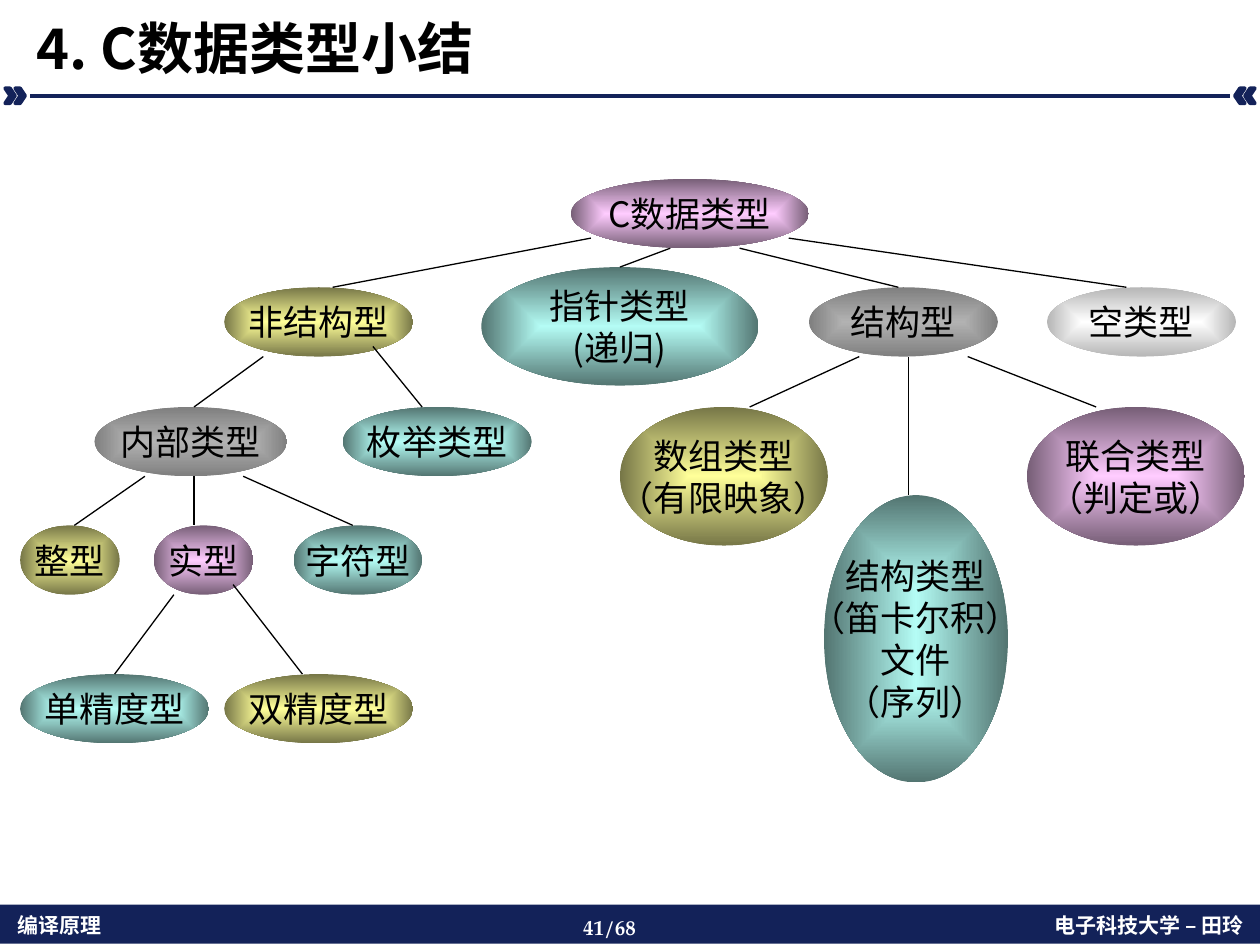
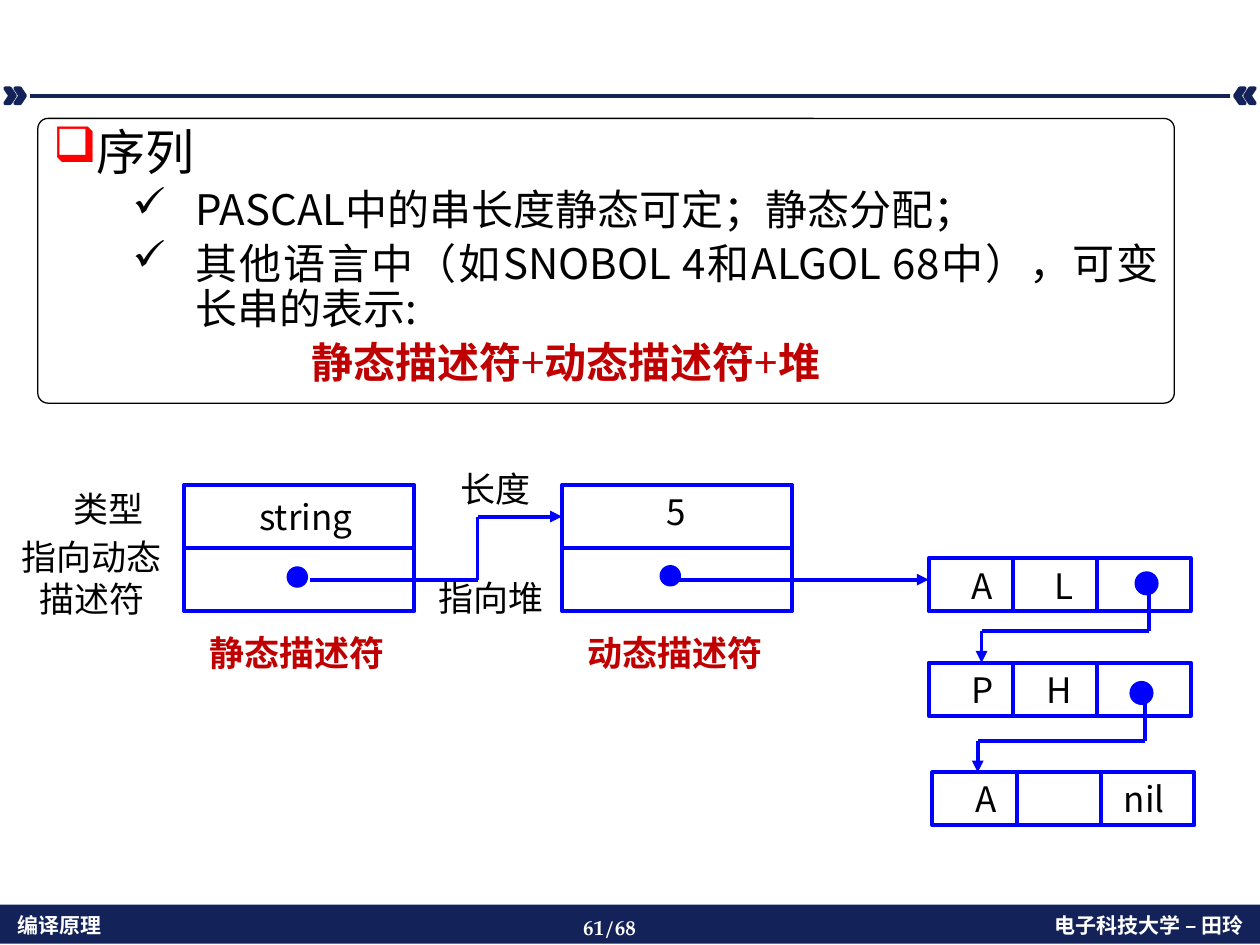
import pptx
import pptx.dml.color
import pptx.enum.shapes
import pptx.enum.text
import pptx.oxml.ns
import pptx.util
from lxml import etree

RGBColor = pptx.dml.color.RGBColor
Inches = pptx.util.Inches
Pt = pptx.util.Pt
SHAPE = pptx.enum.shapes.MSO_SHAPE
ALIGN = pptx.enum.text.PP_ALIGN
ANCHOR = pptx.enum.text.MSO_ANCHOR
qn = pptx.oxml.ns.qn

NAVY = RGBColor(0x13, 0x22, 0x59)
WHITE = RGBColor(0xFF, 0xFF, 0xFF)
BLACK = RGBColor(0, 0, 0)
BLUE = RGBColor(0, 0, 0xFF)
RED = RGBColor(0xFF, 0, 0)
DARK_RED = RGBColor(0xC0, 0, 0)
PINK = (RGBColor(0xFF, 0xCC, 0xFF), RGBColor(0x76, 0x5E, 0x76))
YELLOW = (RGBColor(0xFF, 0xFF, 0x99), RGBColor(0x76, 0x76, 0x47))
GREY = (RGBColor(0xB2, 0xB2, 0xB2), RGBColor(0x7F, 0x7F, 0x7F))
TEAL = (RGBColor(0xB4, 0xFC, 0xF5), RGBColor(0x53, 0x75, 0x71))
SILVER = (WHITE, RGBColor(0xB6, 0xB6, 0xB6))

SANS = "Noto Sans CJK SC"
SERIF = "TeX Gyre Pagella"
BASE = {"size": 20, "name": SANS, "color": BLACK, "bold": False}
FOOTER = {"size": 12, "color": WHITE, "bold": True}
CAPTION = {"color": DARK_RED, "bold": True}

# Key: lines of text, colours, (left, top, width, height)
TYPES = {
    "root": (["C数据类型"], PINK, (4.53, 1.42, 1.89, 0.55)),
    "plain": (["非结构型"], YELLOW, (1.78, 2.28, 1.5, 0.55)),
    "structured": (["结构型"], GREY, (6.42, 2.28, 1.5, 0.55)),
    "pointer": (["指针类型", "(递归)"], TEAL, (3.82, 2.12, 2.2, 0.94)),
    "builtin": (["内部类型"], GREY, (0.75, 3.23, 1.53, 0.55)),
    "enum": (["枚举类型"], TEAL, (2.72, 3.23, 1.5, 0.55)),
    "array": (["数组类型", "（有限映象）"], YELLOW, (4.92, 3.23, 1.65, 1.1)),
    "union": (["联合类型", "（判定或）"], PINK, (8.15, 3.23, 1.73, 1.1)),
    "struct": (["结构类型", "（笛卡尔积）", "文件", "（序列）"], TEAL,
               (6.54, 3.93, 1.46, 2.28)),
    "integer": (["整型"], YELLOW, (0.16, 4.17, 0.79, 0.55)),
    "void": (["空类型"], SILVER, (8.31, 2.28, 1.5, 0.55)),
    "real": (["实型"], PINK, (1.22, 4.17, 0.79, 0.55)),
    "char": (["字符型"], TEAL, (2.33, 4.17, 1.02, 0.55)),
    "single": (["单精度型"], TEAL, (0.16, 5.35, 1.5, 0.55)),
    "double": (["双精度型"], YELLOW, (1.78, 5.35, 1.5, 0.55)),
}
# Parent, child, x at the parent, x at the child, height above the parent's bottom
BRANCHES = [
    ("root", "plain", 4.69, 2.64, 0.08), ("root", "pointer", 5.32, 4.92, 0),
    ("root", "structured", 5.87, 7.13, 0), ("root", "void", 6.26, 8.94, 0.08),
    ("plain", "builtin", 2.09, 1.54, 0), ("plain", "enum", 2.96, 3.35, 0.08),
    ("builtin", "integer", 1.15, 0.59, 0), ("builtin", "real", 1.54, 1.54, 0),
    ("builtin", "char", 1.93, 2.8, 0), ("real", "single", 1.38, 0.91, 0),
    ("real", "double", 1.85, 2.4, 0.08), ("structured", "array", 6.82, 5.95, 0),
    ("structured", "union", 7.68, 8.7, 0), ("structured", "struct", 7.21, 7.21, 0),
]

# Runs, size, left margin, hanging indent, bullet, bullet colour
SEQUENCE = [
    ([("序列", {})], 28, 0.34, 0.34, "❑", RED),
    ([("PASCAL中的串长度静态可定；静态分配；", {})], 24, 1.13, 0.5, "✓", BLACK),
    ([("其他语言中（如SNOBOL 4和ALGOL 68中），可变长串的表示:", {})],
     24, 1.13, 0.5, "✓", BLACK),
    ([("静态描述符", CAPTION), ("+", {"color": DARK_RED}), ("动态描述符", CAPTION),
      ("+", {"color": DARK_RED}), ("堆", CAPTION)], 24, 2.55, 0.5, None, None),
]
DESCRIPTOR_LEFTS = (1.46, 4.46)
HEAP_CELLS = [(7.37, 4.43), (7.37, 5.26), (7.4, 6.13)]
HEAP_LINKS = [(9.12, 4.59), (9.09, 5.46)]
DOTS = [(2.28, 4.5, 0.75), (5.24, 4.49, 0.75), (9.02, 4.55, 2.25), (8.98, 5.42, 2.25)]
VALUES = [
    ("string", 1.96, 3.88, 0.97), ("5", 5.19, 3.84, 0.37),
    ("A", 7.61, 4.43, 0.4), ("L", 8.27, 4.43, 0.35),
    ("P", 7.61, 5.26, 0.37), ("H", 8.21, 5.26, 0.42),
    ("A", 7.64, 6.12, 0.4), ("nil", 8.82, 6.12, 0.53),
]
CAPTIONS = [
    ("静态描述符", (1.53, 4.94, 1.65, 0.47), CAPTION),
    ("动态描述符", (4.53, 4.94, 1.65, 0.47), CAPTION),
    ("类型", (0.43, 3.84, 0.87, 0.39), {}),
    ("指向动态描述符", (0, 4.31, 1.46, 0.55), {}),
    ("长度", (3.5, 3.68, 0.87, 0.39), {}),
    ("指向堆", (3.35, 4.47, 1.1, 0.55), {}),
]


def add_run(para, text, **style):
    style = {**BASE, **style}
    span = para.add_run()
    span.text = text
    span.font.color.rgb = style["color"]
    for key, value in {"size": Pt(style["size"]), "name": style["name"],
                       "bold": style["bold"]}.items():
        setattr(span.font, key, value)
    east_asian = etree.SubElement(span.font._element, qn("a:ea"))
    east_asian.set("typeface", style["name"])


def write(shape, lines, align=ALIGN.LEFT, anchor=ANCHOR.TOP, wrap=True, spacing=1.2, **style):
    """Fill a shape with one paragraph per line; spacing is a multiple of the text size."""
    frame = shape.text_frame
    frame.word_wrap = wrap
    frame.vertical_anchor = anchor
    for index, text in enumerate(lines):
        para = frame.paragraphs[0] if index == 0 else frame.add_paragraph()
        para.alignment = align
        para.line_spacing = Pt(style.get("size", BASE["size"]) * spacing)
        add_run(para, text, **style)


def add_text(page, box, lines, **options):
    write(page.shapes.add_textbox(*map(Inches, box)), lines, **options)


def add_preset(page, kind, box, fill=None, line=None, width=0.75):
    shape = page.shapes.add_shape(kind, *map(Inches, box))
    shape.shadow.inherit = False
    if fill is None:
        shape.fill.background()
    else:
        shape.fill.solid()
        shape.fill.fore_color.rgb = fill
    if line is None:
        shape.line.fill.background()
    else:
        shape.line.color.rgb = line
        shape.line.width = Pt(width)
    return shape


def add_path(page, points, color=BLUE, width=2.25, arrow=False):
    """Join the points with straight lines; an arrowhead goes on the last one."""
    for start, end in zip(points, points[1:]):
        line = page.shapes.add_connector(
            pptx.enum.shapes.MSO_CONNECTOR.STRAIGHT, *map(Inches, (*start, *end)))
        line.line.color.rgb = color
        line.line.width = Pt(width)
        etree.SubElement(line._element.spPr, qn("a:effectLst"))
    if arrow:
        head = etree.SubElement(line.line._get_or_add_ln(), qn("a:tailEnd"))
        head.set("type", "triangle")


def shade_from_center(shape, colors):
    shape.fill.gradient()
    for stop, color in zip(shape.fill.gradient_stops, colors):
        stop.color.rgb = color
    gradient = shape._element.spPr.find(qn("a:gradFill"))
    gradient.remove(gradient.find(qn("a:lin")))
    shading = etree.SubElement(gradient, qn("a:path"))
    shading.set("path", "shape")
    center = etree.SubElement(shading, qn("a:fillToRect"))
    for side in "ltrb":
        center.set(side, "50000")


def add_page(deck, layout, number):
    page = deck.slides.add_slide(deck.slide_layouts[layout])
    add_preset(page, SHAPE.RECTANGLE, (0, 7.18, 10, 0.31), NAVY)
    for left, turn in ((0.04, 0), (0.12, 0), (9.8, 180), (9.88, 180)):
        chevron = add_preset(page, SHAPE.CHEVRON, (left, 0.7, 0.08, 0.12), NAVY, NAVY, 2)
        chevron.rotation = turn
    add_path(page, [(0.24, 0.76), (9.76, 0.76)], NAVY, 2)
    add_text(page, (0.04, 7.19, 2.94, 0.3), ["编译原理"], **FOOTER)
    add_text(page, (6.98, 7.19, 2.99, 0.3), ["电子科技大学 – 田玲"], align=ALIGN.RIGHT, **FOOTER)
    add_text(page, (4.53, 7.21, 0.94, 0.3), [f"{number}/68"], name=SERIF, **FOOTER)
    return page


def build_type_tree(deck):
    page = add_page(deck, 5, 41)
    title = page.shapes.title
    for side, value in zip(("left", "top", "width", "height"), (0.19, 0.05, 9.61, 0.64)):
        setattr(title, side, Inches(value))
    write(title, ["4. C数据类型小结"], anchor=ANCHOR.BOTTOM, spacing=1.08, size=32, bold=True)
    for lines, colors, box in TYPES.values():
        oval = add_preset(page, SHAPE.OVAL, box)
        shade_from_center(oval, colors)
        write(oval, lines, align=ALIGN.CENTER, anchor=ANCHOR.MIDDLE, wrap=False)
    for parent, child, start, end, lift in BRANCHES:
        _, top, _, height = TYPES[parent][2]
        add_path(page, [(start, top + height - lift), (end, TYPES[child][2][1])], BLACK, 0.75)


def add_sequence_list(page):
    panel = add_preset(page, SHAPE.ROUNDED_RECTANGLE, (0.3, 0.94, 9.02, 2.26), line=BLACK)
    panel.adjustments[0] = 0.036
    frame = panel.text_frame
    frame.word_wrap = True
    frame.vertical_anchor = ANCHOR.TOP
    for index, (runs, size, margin, hang, bullet, color) in enumerate(SEQUENCE):
        para = frame.add_paragraph() if index else frame.paragraphs[0]
        props = para._p.get_or_add_pPr()
        props.set("marL", str(Inches(margin)))
        props.set("indent", str(-Inches(hang)))
        if bullet:
            tint = etree.SubElement(props, qn("a:buClr"))
            etree.SubElement(tint, qn("a:srgbClr")).set("val", str(color))
            etree.SubElement(props, qn("a:buChar")).set("char", bullet)
        para.alignment = ALIGN.JUSTIFY
        para.line_spacing = Pt(size * 1.08)
        para.space_before = Pt(size * 0.2 if index else 0)
        for text, style in runs:
            add_run(para, text, size=size, **style)


def build_string_storage(deck):
    page = add_page(deck, 6, 61)
    add_sequence_list(page)
    for left in DESCRIPTOR_LEFTS:
        add_preset(page, SHAPE.RECTANGLE, (left, 3.85, 1.83, 1), line=BLUE, width=2.25)
        add_path(page, [(left, 4.35), (left + 1.83, 4.35)])
    for left, top in HEAP_CELLS:
        add_preset(page, SHAPE.RECTANGLE, (left, top, 2.08, 0.42), line=BLUE, width=2.25)
        for column in (1, 2):
            x = left + 0.67 * column
            add_path(page, [(x, top), (x, top + 0.42)])
    add_path(page, [(2.46, 4.6), (3.79, 4.6), (3.79, 4.1), (4.46, 4.1)], arrow=True)
    add_path(page, [(5.37, 4.6), (7.37, 4.6)], arrow=True)
    for x, y in HEAP_LINKS:
        turn = y + 0.42
        add_path(page, [(x, y), (x, turn), (x - 1.33, turn), (x - 1.33, turn + 0.25)], arrow=True)
    for left, top, width in DOTS:
        add_preset(page, SHAPE.OVAL, (left, top, 0.16, 0.16), BLUE, BLUE, width)
    for text, left, top, width in VALUES:
        add_text(page, (left, top, width, 0.44), [text], wrap=False)
    for text, box, style in CAPTIONS:
        add_text(page, box, [text], align=ALIGN.CENTER, anchor=ANCHOR.MIDDLE, **style)


def main():
    deck = pptx.Presentation()
    deck.slide_width = Inches(10)
    deck.slide_height = Inches(7.5)
    build_type_tree(deck)
    build_string_storage(deck)
    deck.save("out.pptx")


if __name__ == "__main__":
    main()
